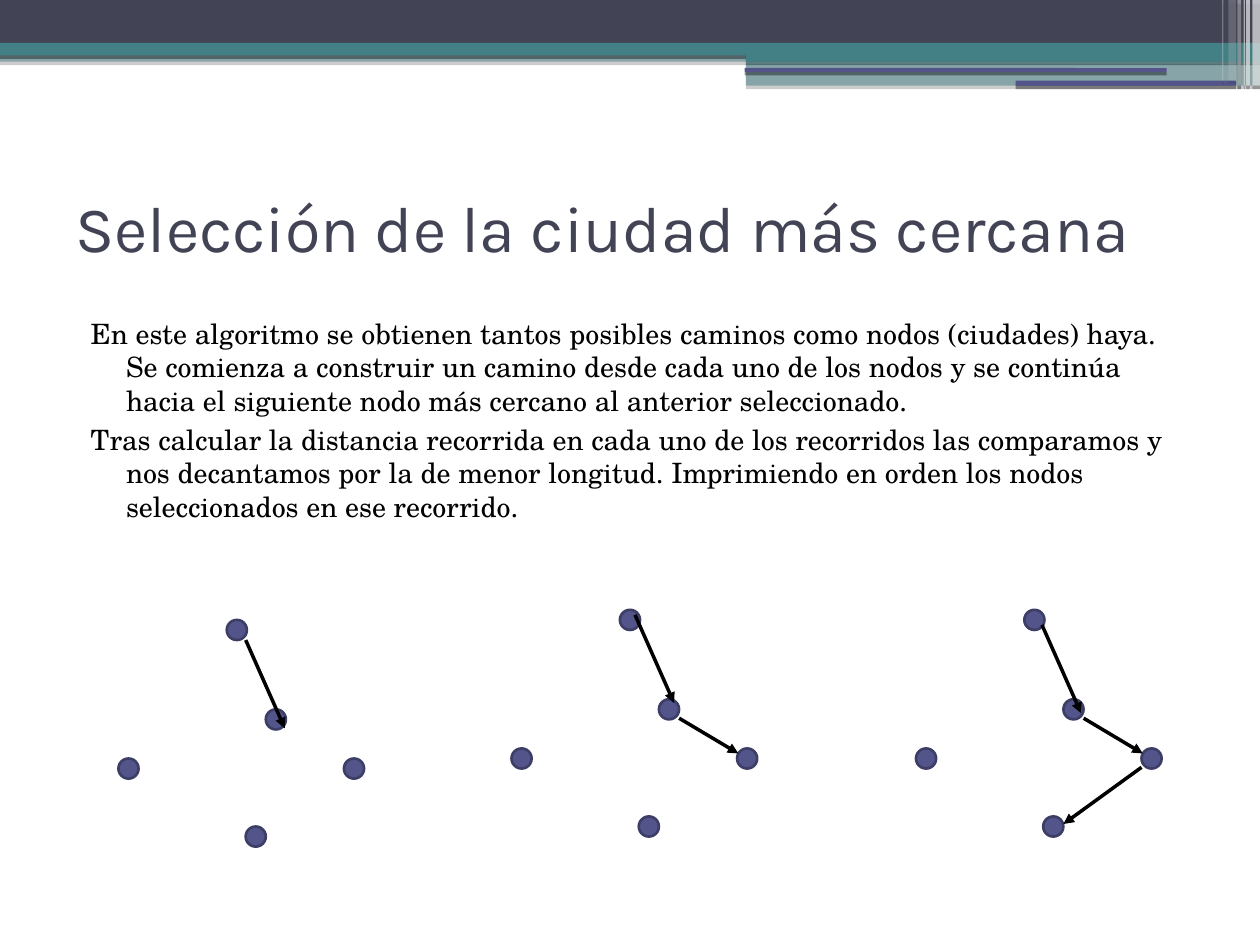
from lxml import etree
from pptx import Presentation
from pptx.dml.color import RGBColor
from pptx.enum.shapes import MSO_CONNECTOR, MSO_SHAPE
from pptx.enum.text import MSO_ANCHOR, MSO_AUTO_SIZE, PP_ALIGN
from pptx.oxml.ns import qn
from pptx.util import Inches, Pt

RECTANGLE = MSO_SHAPE.RECTANGLE
ROUNDED = MSO_SHAPE.ROUNDED_RECTANGLE
ELLIPSE = MSO_SHAPE.OVAL
STRAIGHT = MSO_CONNECTOR.STRAIGHT
LEFT = PP_ALIGN.LEFT
TOP = MSO_ANCHOR.TOP
MIDDLE = MSO_ANCHOR.MIDDLE
NO_AUTOFIT = MSO_AUTO_SIZE.NONE

DARK, TEAL, PURPLE = "424456", "438086", "53548A"
WHITE, BLACK, NODE_EDGE = "FFFFFF", "000000", "3D3E66"
NODE_SIZE = 0.16

BANDS = [
    (RECTANGLE, 0, 0.4, 10, 0.09, TEAL, 50),
    (RECTANGLE, 0, 0, 10, 0.34, DARK, 100),
    (RECTANGLE, 0, 0.34, 10, 0.1, TEAL, 100),
    (RECTANGLE, 5.92, 0.39, 4.08, 0.1, TEAL, 100),
    (RECTANGLE, 5.92, 0.48, 4.08, 0.2, TEAL, 50),
    (ROUNDED, 5.91, 0.54, 3.35, 0.03, PURPLE, 100),
    (ROUNDED, 8.06, 0.64, 1.75, 0.04, PURPLE, 100),
]
STRIPES = [
    (9.94, 0.06, 0.68, 66),
    (9.89, 0.03, 0.68, 66),
    (9.87, 0.01, 0.68, 60),
    (9.82, 0.03, 0.68, 40),
    (9.75, 0.06, 0.64, 20),
    (9.7, 0.01, 0.64, 31),
]
TITLE = "Selección de la ciudad más cercana"
BODY = [
    "En este algoritmo se obtienen tantos posibles caminos como nodos (ciudades) haya."
    "\vSe comienza a construir un camino desde cada uno de los nodos y se continúa "
    "hacia el siguiente nodo más cercano al anterior seleccionado.",
    "Tras calcular la distancia recorrida en cada uno de los recorridos las comparamos y "
    "nos decantamos por la de menor longitud. Imprimiendo en orden los nodos "
    "seleccionados en ese recorrido.",
]
CITIES = [(0, 0), (0.93, 1.1), (-0.86, 1.1), (0.15, 1.64), (0.31, 0.71)]
FIRST_STEP = (0.31, 0.7)
LATER_STEPS = [((0.47, 0.86), (0.94, 1.14)), ((0.93, 1.25), (0.31, 1.7))]
GRAPHS = [
    ((1.8, 4.92), (0.15, 0.16)),
    ((4.92, 4.84), (0.12, 0.04)),
    ((8.13, 4.84), (0.14, 0.12)),
]


def color(value):
    """Return the colour for a hex string."""
    return RGBColor.from_string(value)


def add_filled_shape(slide, kind, left, top, width, height, fill):
    """Add a preset shape with a solid fill and no shadow."""
    shape = slide.shapes.add_shape(
        kind, Inches(left), Inches(top), Inches(width), Inches(height))
    shape.shadow.inherit = False
    shape.fill.solid()
    shape.fill.fore_color.rgb = color(fill)
    return shape


def set_alpha(color_element, percent):
    """Give a colour element an opacity in percent."""
    etree.SubElement(color_element, qn("a:alpha"), val=str(percent * 1000))


def add_band(slide, kind, left, top, width, height, fill, opacity):
    """Add a header band with a thin shadow below it."""
    shape = add_filled_shape(slide, kind, left, top, width, height, fill)
    shape.line.fill.background()
    properties = shape._element.spPr
    if opacity < 100:
        set_alpha(properties.find(qn("a:solidFill"))[0], opacity)
    shadow = etree.SubElement(
        properties.find(qn("a:effectLst")), qn("a:outerShdw"),
        blurRad="0", dist=str(Pt(2)), dir="5400000", algn="t", rotWithShape="0")
    set_alpha(etree.SubElement(shadow, qn("a:srgbClr"), val=BLACK), 40)


def add_city(slide, left, top):
    """Add one graph node."""
    shape = add_filled_shape(slide, ELLIPSE, left, top, NODE_SIZE, NODE_SIZE, PURPLE)
    shape.line.color.rgb = color(NODE_EDGE)
    shape.line.width = Pt(1.5)


def add_arrow(slide, origin, start, end):
    """Add a hairline arrow between two offsets from an origin."""
    points = [Inches(base + offset) for point in (start, end)
              for base, offset in zip(origin, point)]
    connector = slide.shapes.add_connector(STRAIGHT, *points)
    connector.line.color.rgb = color(BLACK)
    connector.line.width = Pt(0)
    properties = connector._element.spPr
    etree.SubElement(properties.find(qn("a:ln")), qn("a:tailEnd"), type="triangle")
    etree.SubElement(properties, qn("a:effectLst"))


def add_graph(slide, origin, first_start, later_steps):
    """Add the five cities and the steps travelled so far."""
    for x, y in CITIES:
        add_city(slide, origin[0] + x, origin[1] + y)
    first_end = [start + step for start, step in zip(first_start, FIRST_STEP)]
    for start, end in [(first_start, first_end), *later_steps]:
        add_arrow(slide, origin, start, end)


def fill_placeholder(shape, box, texts, font, size, fill, anchor):
    """Place a placeholder and fill it with left-aligned paragraphs."""
    shape.left, shape.top, shape.width, shape.height = map(Inches, box)
    frame = shape.text_frame
    frame.auto_size = NO_AUTOFIT
    frame.word_wrap = True
    frame.vertical_anchor = anchor
    for index, text in enumerate(texts):
        paragraph = frame.add_paragraph() if index else frame.paragraphs[0]
        paragraph.text = text
        paragraph.alignment = LEFT
        paragraph.font.name = font
        paragraph.font.size = Pt(size)
        paragraph.font.color.rgb = color(fill)
    return frame.paragraphs


def format_body(paragraph):
    """Give a body paragraph a hanging indent without a bullet."""
    paragraph.space_before = Pt(3)
    properties = paragraph._p.get_or_add_pPr()
    properties.set("marL", str(Inches(0.4)))
    properties.set("indent", str(Inches(-0.28)))
    bullet = etree.Element(qn("a:buNone"))
    properties.find(qn("a:spcBef")).addnext(bullet)


def main():
    """Build the slide and save it."""
    presentation = Presentation()
    presentation.slide_width = Inches(10)
    presentation.slide_height = Inches(7.5)
    slide = presentation.slides.add_slide(presentation.slide_layouts[1])
    for band in BANDS:
        add_band(slide, *band)
    for left, width, height, opacity in STRIPES:
        add_band(slide, RECTANGLE, left, 0, width, height, WHITE, opacity)
    title = fill_placeholder(slide.shapes.title, (0.5, 1.25, 9, 1.17), [TITLE],
                             "Karla", 37, DARK, MIDDLE)
    title[0].line_spacing = 0.9
    body = fill_placeholder(slide.placeholders[1], (0.5, 2.46, 9, 4.73), BODY,
                            "TeX Gyre Schola", 16, BLACK, TOP)
    for paragraph in body:
        format_body(paragraph)
    for count, (origin, first_start) in enumerate(GRAPHS):
        add_graph(slide, origin, first_start, LATER_STEPS[:count])
    presentation.save("out.pptx")


if __name__ == "__main__":
    main()
